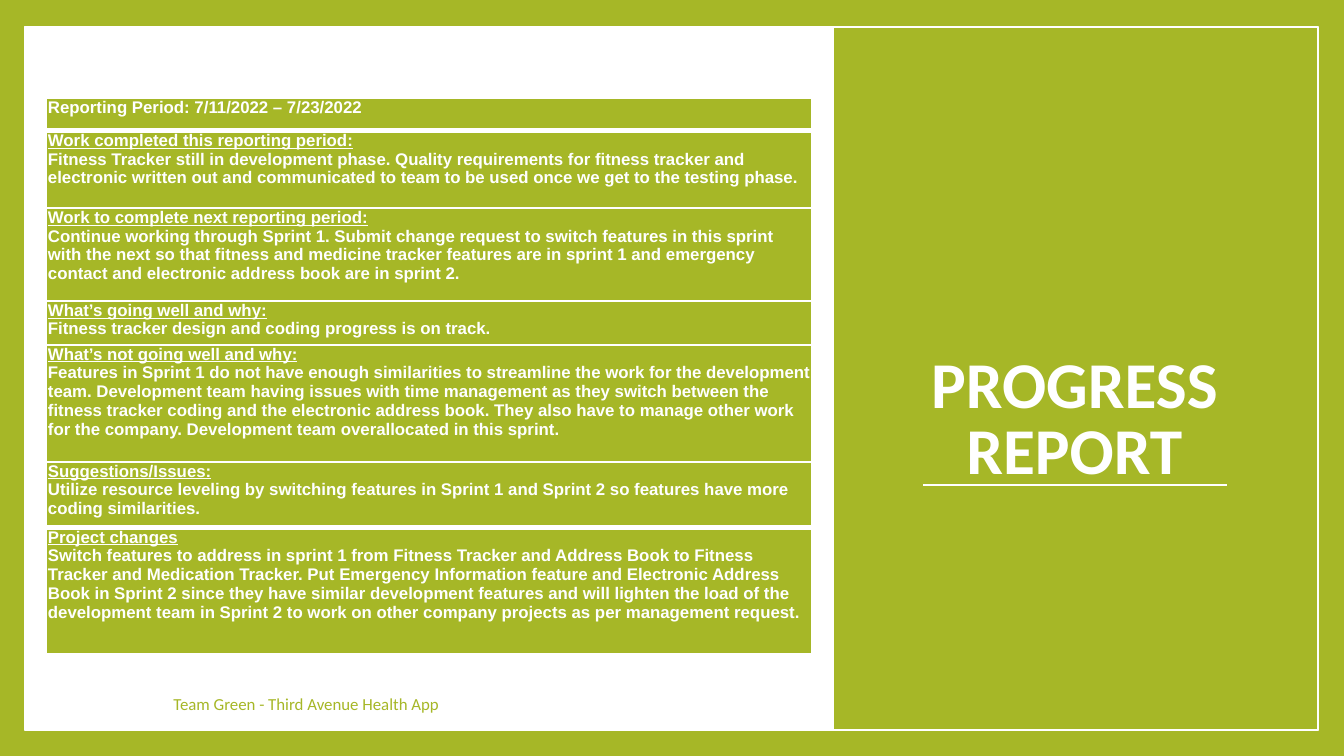
from lxml.etree import SubElement
from pptx import Presentation
from pptx.dml.color import RGBColor
from pptx.enum.shapes import MSO_CONNECTOR, MSO_SHAPE
from pptx.enum.text import MSO_ANCHOR, PP_ALIGN
from pptx.oxml.ns import qn
from pptx.util import Emu, Pt

EMU_PER_PX = 914400 / 134.4
GREEN, WHITE = "A6B727", "FFFFFF"
THIN, THICK = 1, 3

REPORT = [  # row height, heading, body
    (33, "Reporting Period: 7/11/2022 – 7/23/2022", None),
    (77, "Work completed this reporting period:",
     "Fitness Tracker still in development phase. Quality requirements for fitness tracker and "
     "electronic written out and communicated to team to be used once we get to the testing phase."),
    (93, "Work to complete next reporting period:",
     "Continue working through Sprint 1. Submit change request to switch features in this sprint "
     "with the next so that fitness and medicine tracker features are in sprint 1 and emergency "
     "contact and electronic address book are in sprint 2."),
    (44, "What’s going well and why:",
     "Fitness tracker design and coding progress is on track."),
    (117, "What’s not going well and why:",
     "Features in Sprint 1 do not have enough similarities to streamline the work for the "
     "development team. Development team having issues with time management as they switch "
     "between the fitness tracker coding and the electronic address book. They also have to manage "
     "other work for the company. Development team overallocated in this sprint."),
    (66, "Suggestions/Issues:",
     "Utilize resource leveling by switching features in Sprint 1 and Sprint 2 so features have more "
     "coding similarities."),
    (126, "Project changes",
     "Switch features to address in sprint 1 from Fitness Tracker and Address Book to Fitness "
     "Tracker and Medication Tracker. Put Emergency Information feature and Electronic Address "
     "Book in Sprint 2 since they have similar development features and will lighten the load of the "
     "development team in Sprint 2 to work on other company projects as per management request."),
]


def px(length):
    return Emu(round(length * EMU_PER_PX))


def rgb(color):
    return RGBColor.from_string(color)


def add_panel(page, left, top, width, height, fill=None):
    panel = page.shapes.add_shape(MSO_SHAPE.RECTANGLE, px(left), px(top), px(width), px(height))
    panel.shadow.inherit = False
    if fill:
        panel.fill.solid()
        panel.fill.fore_color.rgb = rgb(fill)
    else:
        panel.fill.background()
    panel.line.color.rgb = rgb(WHITE)
    panel.line.width = Pt(1)


def add_rule(page, left, right, y):
    rule = page.shapes.add_connector(MSO_CONNECTOR.STRAIGHT, px(left), px(y), px(right), px(y))
    rule.line.color.rgb = rgb(WHITE)
    rule.line.width = Pt(0.79)
    SubElement(rule._element.spPr, qn("a:effectLst"))


def add_span(para, text, size, font, color, bold=False, underline=False):
    span = para.add_run()
    span.text = text
    span.font.size = Pt(size)
    span.font.name = font
    span.font.color.rgb = rgb(color)
    span.font.bold = bold
    span.font.underline = underline


def add_label(page, left, top, width, height, text, size, color, anchor, bold=False, spacing=1.0):
    box = page.shapes.add_textbox(px(left), px(top), px(width), px(height))
    frame = box.text_frame
    frame.word_wrap = True
    frame.vertical_anchor = anchor
    frame.margin_left = frame.margin_right = px(10)
    frame.margin_top = frame.margin_bottom = px(5)
    para = frame.paragraphs[0]
    para.alignment = PP_ALIGN.CENTER
    para.line_spacing = spacing
    add_span(para, text, size, "Calibri", color, bold)


def set_borders(cell, top, bottom):
    """Draw white cell borders; the lines must precede the fill in the XML."""
    properties = cell._tc.get_or_add_tcPr()
    sides = [("a:lnL", THIN), ("a:lnR", THIN), ("a:lnT", top), ("a:lnB", bottom)]
    for index, (tag, points) in enumerate(sides):
        line = SubElement(properties, qn(tag), w=str(Pt(points)))
        SubElement(SubElement(line, qn("a:solidFill")), qn("a:srgbClr"), val=WHITE)
        properties.insert(index, line)


def add_report(page, left, top, width):
    heights = [height for height, _, _ in REPORT]
    last = len(REPORT) - 1
    table = page.shapes.add_table(len(REPORT), 1, px(left), px(top), px(width), px(sum(heights))).table
    table.first_row = table.horz_banding = False
    for index, (height, heading, body) in enumerate(REPORT):
        table.rows[index].height = px(height)
        cell = table.cell(index, 0)
        cell.margin_left = cell.margin_right = px(2)
        cell.margin_top = cell.margin_bottom = 0
        cell.fill.solid()
        cell.fill.fore_color.rgb = rgb(GREEN)
        set_borders(cell, top=THICK if index in (1, last) else THIN,
                    bottom=THICK if index in (0, last - 1) else THIN)
        frame = cell.text_frame
        add_span(frame.paragraphs[0], heading, 9, "Arial", WHITE, True, underline=body is not None)
        if body:
            add_span(frame.add_paragraph(), body, 9, "Arial", WHITE, True)


def main():
    deck = Presentation()
    deck.slide_width, deck.slide_height = px(1344), px(756)
    page = deck.slides.add_slide(deck.slide_layouts[6])
    page.background.fill.solid()
    page.background.fill.fore_color.rgb = rgb(GREEN)

    add_panel(page, 25, 27, 1292, 703, WHITE)
    add_panel(page, 833, 27, 485, 703, GREEN)
    add_panel(page, 25, 27, 1293, 703)
    add_rule(page, 923, 1227, 485)
    add_label(page, 903, 94, 343, 399, "PROGRESS REPORT", 35, WHITE,
              MSO_ANCHOR.BOTTOM, bold=True, spacing=0.85)
    add_report(page, 46, 98, 766)
    add_label(page, 46, 684, 520, 40, "Team Green - Third Avenue Health App", 9, GREEN,
              MSO_ANCHOR.MIDDLE)
    deck.save("out.pptx")


if __name__ == "__main__":
    main()
